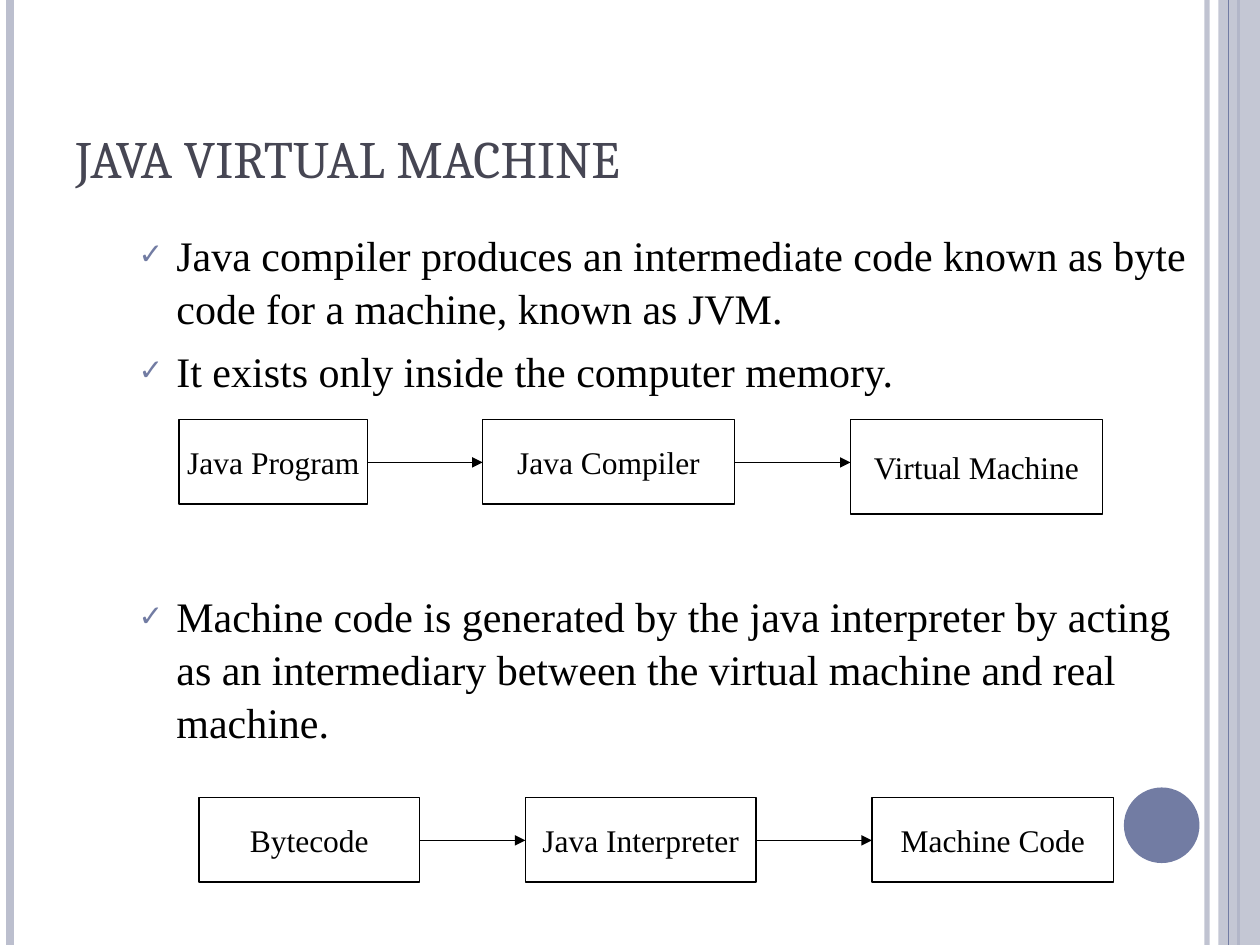
import pptx
import pptx.util
import pptx.dml.color
import pptx.enum.shapes
import pptx.enum.text
import pptx.oxml.ns
from lxml import etree

Inches = pptx.util.Inches
Pt = pptx.util.Pt
qn = pptx.oxml.ns.qn
SHAPES = pptx.enum.shapes.MSO_SHAPE
ALIGN = pptx.enum.text.PP_ALIGN
ANCHOR = pptx.enum.text.MSO_ANCHOR
AUTO_SIZE = pptx.enum.text.MSO_AUTO_SIZE

WIDTH, HEIGHT = 10, 7.5
BLACK, WHITE, ACCENT, PALE, TITLE_COLOR = "000000", "FFFFFF", "727CA3", "BCBFCE", "464653"
BODY_FONT = "Times New Roman"

TITLE = "JAVA VIRTUAL MACHINE"
BULLETS = [
    ("Java compiler produces an intermediate code known as byte code "
     "for a machine, known as JVM.", 6),
    ("It exists only inside the computer memory.", 6),
    ("Machine code is generated by the java interpreter by acting as an "
     "intermediary between the virtual machine and real machine.", 110),
]
FLOWS = [
    (3.33, [("Java Program", 1.42, 1.5, 0.67),
            ("Java Compiler", 3.83, 2, 0.67),
            ("Virtual Machine", 6.75, 2, 0.75)]),
    (6.33, [("Bytecode", 1.58, 1.75, 0.67),
            ("Java Interpreter", 4.17, 1.83, 0.67),
            ("Machine Code", 6.92, 1.92, 0.67)]),
]
ARROW_DROP = 0.34
STRAY_ARROWHEAD = (4.17, 6.67)
RULES = [(9.58, PALE, 3, 93), (0.08, PALE, 4.5, 100), (9.83, ACCENT, 1.5, 100)]
EDGE_RULE = (9.75, ACCENT, 0.75, 100)


def rgb(color):
    return pptx.dml.color.RGBColor.from_string(color)


def add_child(parent, tag, **attributes):
    return etree.SubElement(parent, qn(tag), attributes)


def set_fill(fill, color, opacity=100):
    fill.solid()
    fill.fore_color.rgb = rgb(color)
    if opacity < 100:
        element = fill._xPr.find(qn("a:solidFill"))[0]
        add_child(element, "a:alpha", val=str(opacity * 1000))


def set_font(paragraph, name, size, color):
    paragraph.font.name = name
    paragraph.font.size = Pt(size)
    paragraph.font.color.rgb = rgb(color)


def place(shape, left, top, width, height):
    shape.left, shape.top = Inches(left), Inches(top)
    shape.width, shape.height = Inches(width), Inches(height)


def add_line(slide, start, end, color, weight, opacity=100, arrow=False):
    points = [Inches(value) for value in (*start, *end)]
    line = slide.shapes.add_connector(pptx.enum.shapes.MSO_CONNECTOR.STRAIGHT, *points)
    line.line.width = Pt(weight)
    set_fill(line.line.fill, color, opacity)
    if arrow:
        add_child(line.line._get_or_add_ln(), "a:tailEnd", type="triangle")
    add_child(line._element.spPr, "a:effectLst")


def add_rule(slide, x, color, weight, opacity):
    add_line(slide, (x, 0), (x, HEIGHT), color, weight, opacity)


def add_shape(slide, kind, bounds, color, opacity=100):
    shape = slide.shapes.add_shape(kind, *[Inches(value) for value in bounds])
    shape.shadow.inherit = False
    set_fill(shape.fill, color, opacity)
    shape.line.fill.background()
    return shape


def add_decoration(slide):
    for rule in RULES:
        add_rule(slide, *rule)
    add_shape(slide, SHAPES.RECTANGLE, (9.67, 0, 0.33, HEIGHT), PALE, 87)
    add_rule(slide, *EDGE_RULE)
    add_shape(slide, SHAPES.OVAL, (8.92, 6.25, 0.6, 0.6), ACCENT)


def fill_title(title):
    place(title, 0.5, 0.3, 8.17, 1.25)
    frame = title.text_frame
    frame.text = TITLE
    frame.auto_size = AUTO_SIZE.NONE
    frame.vertical_anchor = ANCHOR.BOTTOM
    frame.paragraphs[0].alignment = ALIGN.LEFT
    set_font(frame.paragraphs[0], "Cambria", 30, TITLE_COLOR)


def fill_bullets(body):
    place(body, 1, 1.75, 8.58, 5.42)
    frame = body.text_frame
    frame.text = "\n".join(text for text, gap in BULLETS)
    frame.auto_size = AUTO_SIZE.NONE
    for paragraph, (text, gap) in zip(frame.paragraphs, BULLETS):
        paragraph.line_spacing = 1.05
        paragraph.space_before = Pt(gap)
        properties = paragraph._p.get_or_add_pPr()
        properties.set("marL", str(Inches(0.3)))
        properties.set("indent", str(Inches(-0.3)))
        add_child(add_child(properties, "a:buClr"), "a:srgbClr", val=ACCENT)
        add_child(properties, "a:buSzPct", val="70000")
        add_child(properties, "a:buChar", char="✓")
        set_font(paragraph, BODY_FONT, 24, BLACK)


def add_flow(slide, top, steps):
    for text, left, width, height in steps:
        box = add_shape(slide, SHAPES.RECTANGLE, (left, top, width, height), WHITE)
        set_fill(box.line.fill, BLACK)
        box.line.width = Pt(0.75)
        frame = box.text_frame
        frame.text = text
        frame.word_wrap = False
        frame.vertical_anchor = ANCHOR.MIDDLE
        frame.paragraphs[0].alignment = ALIGN.CENTER
        set_font(frame.paragraphs[0], BODY_FONT, 18, BLACK)
    y = top + ARROW_DROP
    for (_, left, width, _), (_, next_left, _, _) in zip(steps, steps[1:]):
        add_line(slide, (left + width, y), (next_left, y), BLACK, 0.75, arrow=True)


def main():
    presentation = pptx.Presentation()
    presentation.slide_width = Inches(WIDTH)
    presentation.slide_height = Inches(HEIGHT)
    slide = presentation.slides.add_slide(presentation.slide_layouts[1])
    set_fill(slide.background.fill, WHITE)
    add_decoration(slide)
    fill_title(slide.shapes.title)
    fill_bullets(slide.placeholders[1])
    for top, steps in FLOWS:
        add_flow(slide, top, steps)
    add_line(slide, STRAY_ARROWHEAD, STRAY_ARROWHEAD, BLACK, 0.75, arrow=True)
    presentation.save("out.pptx")


if __name__ == "__main__":
    main()
